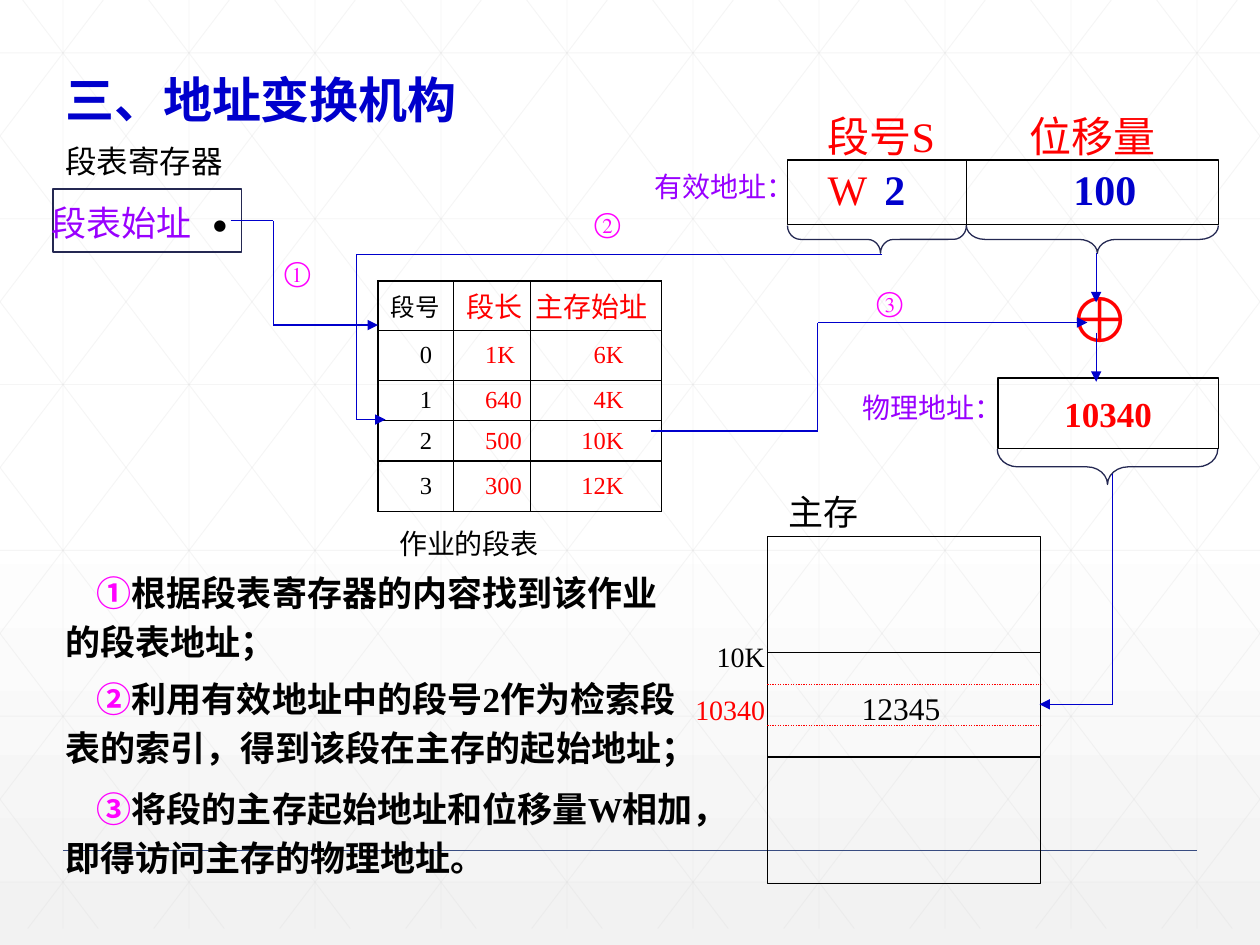
from itertools import pairwise

from lxml import etree
from pptx import Presentation
from pptx.dml.color import RGBColor
from pptx.enum.dml import MSO_LINE
from pptx.enum.shapes import MSO_CONNECTOR, MSO_SHAPE
from pptx.enum.text import MSO_ANCHOR, PP_ALIGN
from pptx.oxml.ns import qn
from pptx.util import Inches, Pt

BLACK, RED, BLUE = "000000", "FF0000", "0000CC"
PURPLE, MAGENTA, NAVY = "9900FF", "FF00FF", "242852"
rgb = RGBColor.from_string

prs = Presentation()
prs.slide_width, prs.slide_height = Inches(10), Inches(7.5)
s = prs.slides.add_slide(prs.slide_layouts[6])


def draw_path(points, color, width=0.75, arrow=False, dash=None, alpha=None):
    """Join the points with straight connectors; an arrow goes on the last."""
    for (x1, y1), (x2, y2) in pairwise(points):
        c = s.shapes.add_connector(MSO_CONNECTOR.STRAIGHT, Inches(x1),
                                   Inches(y1), Inches(x2), Inches(y2))
        c.line.color.rgb = rgb(color)
        c.line.width = Pt(width)
        if dash:
            c.line.dash_style = dash
        sppr = c._element.spPr
        if alpha:
            clr = sppr.find(".//" + qn("a:srgbClr"))
            etree.SubElement(clr, qn("a:alpha"), val=str(alpha * 1000))
        etree.SubElement(sppr, qn("a:effectLst"))
    if arrow:
        etree.SubElement(sppr.find(qn("a:ln")), qn("a:tailEnd"), type="triangle")


def write(p, runs, size, bold=False, font="Times New Roman"):
    for text, color in runs:
        r = p.add_run()
        r.text = text
        r.font.size = Pt(size)
        r.font.bold = bold
        r.font.name = font
        r.font.color.rgb = rgb(color)


# Background
fill = s.background.fill
fill.gradient()
fill.gradient_angle = 270
for stop, pos, color in zip(fill.gradient_stops, (0.53, 1), ("FFFFFF", "F2F2F2")):
    stop.position = pos
    stop.color.rgb = rgb(color)

GRID_H, DIAG_W = 7.37, 5.6
slope = GRID_H / DIAG_W
grid = [[(i + 0.5, 0), (i + 0.5, GRID_H)] for i in range(10)]
grid += [[(0, 0.42 + 1.316 * i), (10, 0.42 + 1.316 * i)] for i in range(6)]
for i in range(-5, 10):
    x0 = 0.18 + i
    ends = [(x, (x - x0) * slope) for x in (max(0, x0), min(10, x0 + DIAG_W))]
    grid += [ends, [(10 - x, y) for x, y in ends]]
for points in grid:
    draw_path(points, "D9D9D9", 0.5, alpha=25)
draw_path([(0.5, 6.75), (9.5, 6.75)], "384C81", 1)

# Segment table
rows = [("段号", "段长", "主存始址"), ("0", "1K", "6K"), ("1", "640", "4K"),
        ("2", "500", "10K"), ("3", "300", "12K")]
col_widths = (0.6, 0.61, 1.04)
row_heights = (0.39, 0.4, 0.32, 0.32, 0.4)
table = s.shapes.add_table(5, 3, Inches(3), Inches(2.23), Inches(sum(col_widths)),
                           Inches(sum(row_heights))).table
table.first_row = table.horz_banding = False
for col, w in zip(table.columns, col_widths):
    col.width = Inches(w)
for row, h in zip(table.rows, row_heights):
    row.height = Inches(h)
for i, values in enumerate(rows):
    for j, value in enumerate(values):
        cell = table.cell(i, j)
        cell.fill.background()
        cell.vertical_anchor = MSO_ANCHOR.MIDDLE
        cell.margin_top = cell.margin_bottom = 0
        cell.margin_left = Inches((0.1, 0.1, 0.04)[j] if i == 0 else (0, 0.25, 0)[j])
        cell.margin_right = Inches(0 if i == 0 else (0.17, 0, 0.3)[j])
        p = cell.text_frame.paragraphs[0]
        p.alignment = PP_ALIGN.LEFT if i == 0 or j == 1 else PP_ALIGN.RIGHT
        write(p, [(value, RED if j else BLACK)], 16 if i == 0 and j else 14)
        tcpr = cell._tc.get_or_add_tcPr()
        for k, side in enumerate(("lnL", "lnR", "lnT", "lnB")):
            ln = etree.Element(qn("a:" + side), w="9525")
            solid = etree.SubElement(ln, qn("a:solidFill"))
            etree.SubElement(solid, qn("a:srgbClr"), val=BLACK)
            tcpr.insert(k, ln)

# Register, addresses and main memory
for x, y, w, h, color, value in [
    (0.42, 1.5, 1.5, 0.5, NAVY, ""),
    (6.25, 1.27, 3.42, 0.51, BLACK, ""),
    (7.92, 3, 1.75, 0.56, BLACK, "10340"),
    (6.09, 4.26, 2.17, 2.75, BLACK, ""),
    (6.09, 5.18, 2.17, 0.83, BLACK, ""),
]:
    sp = s.shapes.add_shape(MSO_SHAPE.RECTANGLE, Inches(x), Inches(y), Inches(w), Inches(h))
    sp.shadow.inherit = False
    sp.fill.background()
    sp.line.color.rgb = rgb(color)
    sp.line.width = Pt(0.75)
    if value:
        write(sp.text_frame.paragraphs[0], [(value, RED)], 20, True)
draw_path([(7.67, 1.27), (7.67, 1.79)], BLACK)
for y in (5.43, 5.76):
    draw_path([(6.09, y), (8.26, y)], RED, dash=MSO_LINE.ROUND_DOT)

for x, y, w, h, curve, tip in [
    (6.85, 1.19, 0.22, 1.42, 0.47, 0.52),
    (8.56, 0.9, 0.22, 2, 0.67, 0.52),
    (8.65, 2.83, 0.28, 1.75, 0.58, 0.5),
]:
    sp = s.shapes.add_shape(MSO_SHAPE.LEFT_BRACE, Inches(x), Inches(y), Inches(w), Inches(h))
    sp.rotation = 270
    sp.adjustments[0], sp.adjustments[1] = curve, tip
    sp.shadow.inherit = False
    sp.fill.background()
    sp.line.color.rgb = rgb(NAVY)
    sp.line.width = Pt(0.75)

# Labels: left, top, width, text, size, colour, bold
for x, y, w, text, size, color, bold in [
    (0.42, 1.08, 1.6, "段表寄存器", 18, BLACK, False),
    (0.31, 1.55, 1.4, "段表始址", 20, PURPLE, False),
    (1.59, 1.53, 0.4, "•", 24, BLACK, True),
    (2.16, 1.97, 0.5, "①", 16, MAGENTA, False),
    (4.62, 1.58, 0.5, "②", 16, MAGENTA, False),
    (6.86, 2.21, 0.5, "③", 16, MAGENTA, False),
    (8.38, 2.17, 0.8, "⊕", 36, RED, False),
    (3.07, 4.13, 1.5, "作业的段表", 16, BLACK, False),
    (5.1, 1.3, 1.5, "有效地址：", 16, PURPLE, False),
    (6.75, 3.05, 1.5, "物理地址：", 16, PURPLE, False),
    (6.47, 0.83, 1.4, "段号S", 24, RED, False),
    (8.07, 0.83, 1.4, "位移量", 24, RED, False),
    (6.47, 1.25, 0.6, "W", 24, RED, False),
    (6.92, 1.25, 0.6, "2", 24, BLUE, True),
    (8.42, 1.25, 0.9, "100", 24, BLUE, True),
    (6.16, 3.84, 0.9, "主存", 20, BLACK, False),
    (5.59, 5.03, 0.7, "10K", 16, BLACK, False),
    (5.42, 5.45, 0.9, "10340", 16, RED, False),
    (6.74, 5.42, 1, "12345", 18, BLACK, False),
]:
    tf = s.shapes.add_textbox(Inches(x), Inches(y), Inches(w), Inches(0.4)).text_frame
    tf.word_wrap = True
    write(tf.paragraphs[0], [(text, color)], size, bold)

tf = s.shapes.add_textbox(Inches(0.42), Inches(0.5), Inches(3.6), Inches(0.57)).text_frame
tf.word_wrap = True
write(tf.paragraphs[0], [("三、地址变换机构", BLUE)], 28, True, "Arial")

# Explanation of the three steps
for y, number, first, second in [
    (4.49, "①", "根据段表寄存器的内容找到该作业", "的段表地址；"),
    (5.33, "②", "利用有效地址中的段号2作为检索段", "表的索引，得到该段在主存的起始地址；"),
    (6.2, "③", "将段的主存起始地址和位移量W相加，", "即得访问主存的物理地址。"),
]:
    tf = s.shapes.add_textbox(Inches(0.42), Inches(y), Inches(5.83), Inches(0.83)).text_frame
    tf.word_wrap = True
    p = tf.paragraphs[0]
    p._p.get_or_add_pPr().set("indent", str(Inches(0.25)))
    write(p, [(number, MAGENTA), (first, BLACK)], 20, True)
    p = tf.add_paragraph()
    p.space_before = Pt(4)
    write(p, [(second, BLACK)], 20, True)

# Address flow
for points in [
    [(1.83, 1.75), (2.17, 1.75), (2.17, 2.58), (3, 2.58)],
    [(7, 2.02), (2.83, 2.02), (2.83, 3.33), (3.06, 3.33)],
    [(5.17, 3.42), (6.49, 3.42), (6.49, 2.56), (8.63, 2.56)],
    [(8.7, 2.01), (8.7, 2.4)],
    [(8.7, 2.64), (8.7, 3.03)],
    [(8.83, 3.76), (8.83, 5.59), (8.25, 5.59)],
]:
    draw_path(points, BLUE, arrow=True)

prs.save("out.pptx")
